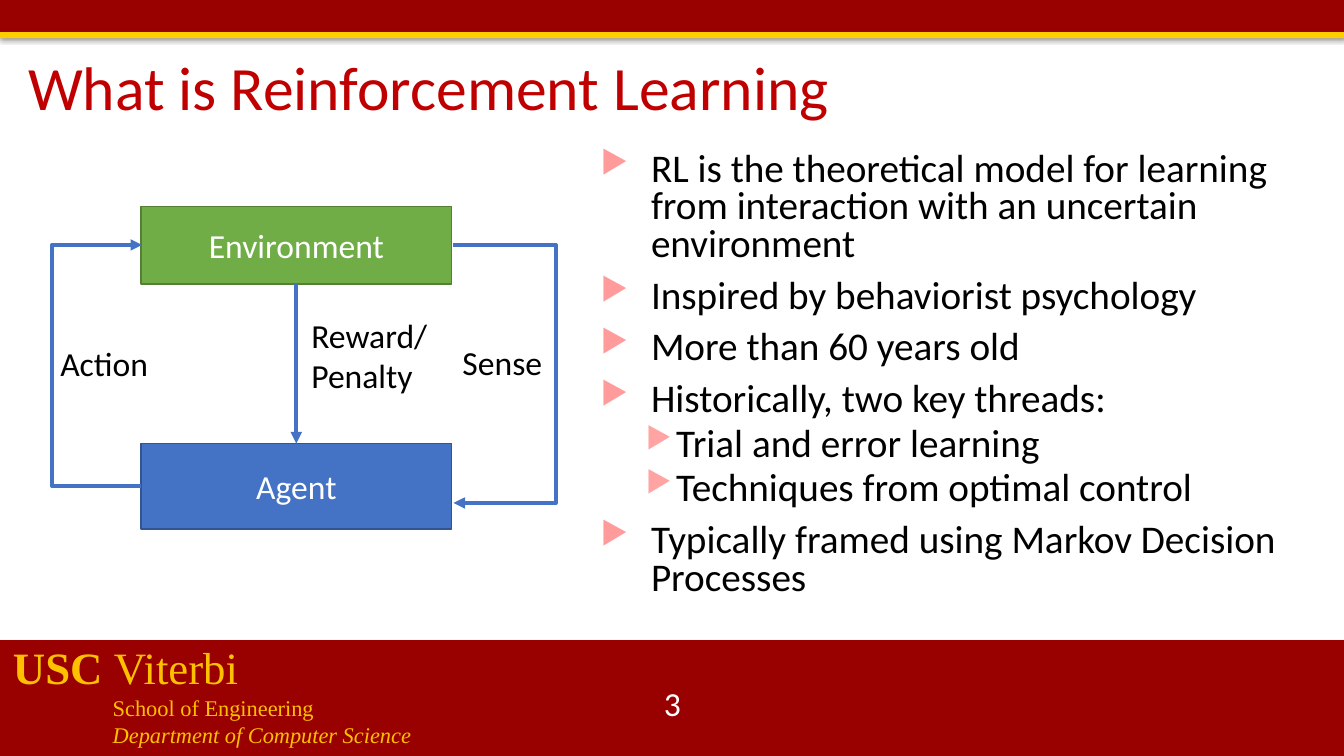
from dataclasses import dataclass

from lxml import etree
from pptx import Presentation
from pptx import util as u
from pptx.dml.color import RGBColor
from pptx.enum import shapes, text
from pptx.oxml import ns

COLUMNS, ROWS = 133.33, 75
CELL = u.Inches(0.1)


@dataclass(frozen=True)
class Theme:
    cardinal: str = "990000"
    gold: str = "FFCC00"
    footer_gold: str = "FFC000"
    title: str = "C00000"
    ink: str = "000000"
    white: str = "FFFFFF"
    blue: str = "4472C4"
    blue_edge: str = "325491"
    green: str = "70AD47"
    green_edge: str = "538035"
    sans: str = "Calibri"
    serif: str = "Times New Roman"
    title_size: float = 44
    school_size: float = 32
    body_size: float = 28
    label_size: float = 24
    unit_size: float = 16
    arrow_width: float = 2.75


THEME = Theme()


@dataclass(frozen=True)
class Area:
    column: float
    row: float
    columns: float
    rows: float

    def lengths(self) -> list[int]:
        return [grid(n) for n in (self.column, self.row, self.columns, self.rows)]


@dataclass(frozen=True)
class Band:
    area: Area
    color: str
    shadow_share: int
    shadow_distance: float


@dataclass(frozen=True)
class Node:
    label: str
    area: Area
    fill: str
    edge: str


@dataclass(frozen=True)
class Label:
    lines: tuple[str, ...]
    area: Area
    color: str = THEME.ink
    align: text.PP_ALIGN = text.PP_ALIGN.LEFT


@dataclass(frozen=True)
class Loop:
    start: tuple[float, float]
    end: tuple[float, float]
    bend: float
    arrow: str


@dataclass(frozen=True)
class Level:
    margin: float
    indent: float
    before: float
    color: str
    percent: int


LEVELS = (Level(5, -5, 10, "FF9B9B", 80), Level(7.5, -3, 5, "FFA3A3", 75))
FOOTER_INDENT = 9.9
BANDS = (
    Band(Area(0, 63.5, COLUMNS, 11.5), THEME.cardinal, 35, 1.8),
    Band(Area(0, 0, COLUMNS, 3.3), THEME.cardinal, 35, 1.8),
    Band(Area(0, 3.2, COLUMNS, 0.6), THEME.gold, 38, 1.6),
)
ENVIRONMENT = Node("Environment", Area(14, 20.5, 30.8, 7.7), THEME.green, THEME.green_edge)
AGENT = Node("Agent", Area(14, 44, 30.8, 8.5), THEME.blue, THEME.blue_edge)
LOOPS = (
    Loop((44.9, 24.3), (45, 49.9), 55.3, "tailEnd"),
    Loop((14.1, 24.3), (14, 48.2), 5, "headEnd"),
)
LABELS = (
    Label(("Sense",), Area(44.9, 33.4, 11, 5)),
    Label(("Action",), Area(5, 33.5, 12, 5)),
    Label(("Reward/", "Penalty"), Area(29.9, 30.7, 14.5, 9.1)),
    Label(("3",), Area(51.7, 67.8, 30, 4), THEME.white, text.PP_ALIGN.CENTER),
)
POINTS = (
    (0, "RL is the theoretical model for learning from interaction with an uncertain environment"),
    (0, "Inspired by behaviorist psychology"),
    (0, "More than 60 years old"),
    (0, "Historically, two key threads:"),
    (1, "Trial and error learning"),
    (1, "Techniques from optimal control"),
    (0, "Typically framed using Markov Decision Processes"),
)


def grid(cells: float) -> int:
    return round(cells * CELL)


def add_element(parent, tag: str, **attributes):
    names = {name: str(value) for name, value in attributes.items()}
    return etree.SubElement(parent, ns.qn(f"a:{tag}"), names)


def style(font, size: float, color: str, face: str = THEME.sans) -> None:
    font.size, font.name = u.Pt(size), face
    font.color.rgb = RGBColor.from_string(color)


def add_paragraph(frame, index: int):
    return frame.add_paragraph() if index else frame.paragraphs[0]


def add_text_box(page, area: Area):
    frame = page.shapes.add_textbox(*area.lengths()).text_frame
    frame.word_wrap = True
    return frame


def add_rectangle(page, area: Area, fill: str):
    box = page.shapes.add_shape(shapes.MSO_SHAPE.RECTANGLE, *area.lengths())
    box.shadow.inherit = False
    box.fill.solid()
    box.fill.fore_color.rgb = RGBColor.from_string(fill)
    return box


def draw_band(page, band: Band) -> None:
    box = add_rectangle(page, band.area, band.color)
    box.line.fill.background()
    effects = box._element.spPr.find(ns.qn("a:effectLst"))
    shadow = add_element(effects, "outerShdw", blurRad=u.Pt(3.1), dist=u.Pt(band.shadow_distance),
                         dir=90 * 60000, rotWithShape=0)
    color = add_element(shadow, "srgbClr", val=THEME.ink)
    add_element(color, "alpha", val=band.shadow_share * 1000)


def draw_node(page, node: Node):
    box = add_rectangle(page, node.area, node.fill)
    box.line.color.rgb = RGBColor.from_string(node.edge)
    box.line.width = u.Pt(1)
    box.text_frame.vertical_anchor = text.MSO_ANCHOR.MIDDLE
    para = box.text_frame.paragraphs[0]
    para.text, para.alignment = node.label, text.PP_ALIGN.CENTER
    style(para.font, THEME.label_size, THEME.white)
    return box


def draw_label(page, label: Label) -> None:
    frame = add_text_box(page, label.area)
    frame.vertical_anchor = text.MSO_ANCHOR.MIDDLE
    for index, line in enumerate(label.lines):
        para = add_paragraph(frame, index)
        para.text, para.alignment = line, label.align
        style(para.font, THEME.label_size, label.color)


def add_arrow(page, kind, start: tuple[float, float], end: tuple[float, float], arrow: str):
    line = page.shapes.add_connector(kind, *map(grid, start + end))
    line.line.color.rgb = RGBColor.from_string(THEME.blue)
    line.line.width = u.Pt(THEME.arrow_width)
    properties = line._element.spPr
    add_element(properties.find(ns.qn("a:ln")), arrow, type="triangle")
    add_element(properties, "effectLst")
    return line


def draw_loop(page, loop: Loop) -> None:
    line = add_arrow(page, shapes.MSO_CONNECTOR.ELBOW, loop.start, loop.end, loop.arrow)
    share = (loop.bend - loop.start[0]) / (loop.end[0] - loop.start[0])
    geometry = line._element.spPr.find(ns.qn("a:prstGeom"))
    for guides in geometry.findall(ns.qn("a:avLst")):
        geometry.remove(guides)
    add_element(add_element(geometry, "avLst"), "gd", name="adj1", fmla=f"val {round(share * 100000)}")


def draw_points(page) -> None:
    frame = add_text_box(page, Area(58.6, 14.6, 71.1, 47.6))
    for index, (depth, point) in enumerate(POINTS):
        level = LEVELS[depth]
        para = add_paragraph(frame, index)
        para.text, para.level = point, depth
        properties = para._p.get_or_add_pPr()
        properties.set("marL", str(grid(level.margin)))
        properties.set("indent", str(grid(level.indent)))
        add_element(add_element(properties, "buClr"), "srgbClr", val=level.color)
        add_element(properties, "buSzPct", val=level.percent * 1000)
        add_element(properties, "buChar", char="▶")
        para.line_spacing = 0.8
        if index:
            para.space_before = u.Pt(level.before)
        style(para.font, THEME.body_size, THEME.ink)


def draw_footer(page) -> None:
    frame = add_text_box(page, Area(0.3, 63, 62.5, 11.8))
    name = frame.paragraphs[0]
    name.add_run().text = "USC "
    name.runs[0].font.bold = True
    name.add_run().text = "Viterbi"
    style(name.font, THEME.school_size, THEME.footer_gold, THEME.serif)
    for unit, italic in (("School of Engineering", False), ("Department of Computer Science", True)):
        para = frame.add_paragraph()
        para.text = unit
        para._p.get_or_add_pPr().set("marL", str(grid(FOOTER_INDENT)))
        style(para.font, THEME.unit_size, THEME.footer_gold, THEME.serif)
        para.font.italic = italic


def draw_title(page) -> None:
    title = page.shapes.title
    title.left, title.top, title.width, title.height = Area(1.8, 4.7, 119.4, 8.5).lengths()
    title.text_frame.vertical_anchor = text.MSO_ANCHOR.MIDDLE
    para = title.text_frame.paragraphs[0]
    para.text, para.alignment = "What is Reinforcement Learning", text.PP_ALIGN.LEFT
    para.line_spacing = 0.9
    style(para.font, THEME.title_size, THEME.title)


def main() -> None:
    deck = Presentation()
    deck.slide_width, deck.slide_height = grid(COLUMNS), grid(ROWS)
    page = deck.slides.add_slide(deck.slide_layouts[5])
    for band in BANDS:
        draw_band(page, band)
    draw_footer(page)
    draw_title(page)
    draw_points(page)
    agent, environment = draw_node(page, AGENT), draw_node(page, ENVIRONMENT)
    for loop in LOOPS:
        draw_loop(page, loop)
    for label in LABELS:
        draw_label(page, label)
    reward = add_arrow(page, shapes.MSO_CONNECTOR.STRAIGHT, (29.4, 28.2), (29.4, 44), "tailEnd")
    reward.begin_connect(environment, 2)
    reward.end_connect(agent, 0)
    deck.save("out.pptx")


if __name__ == "__main__":
    main()
